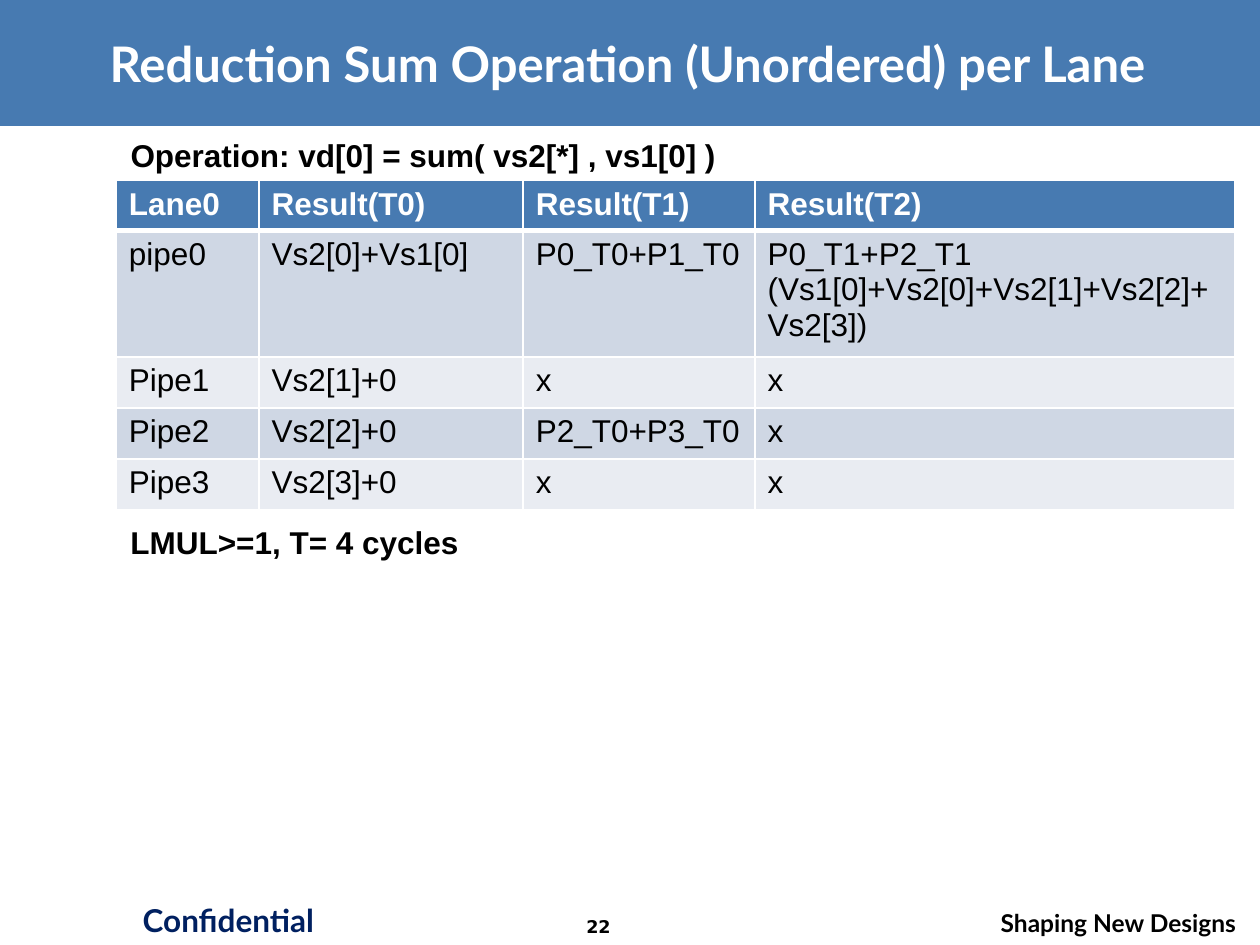
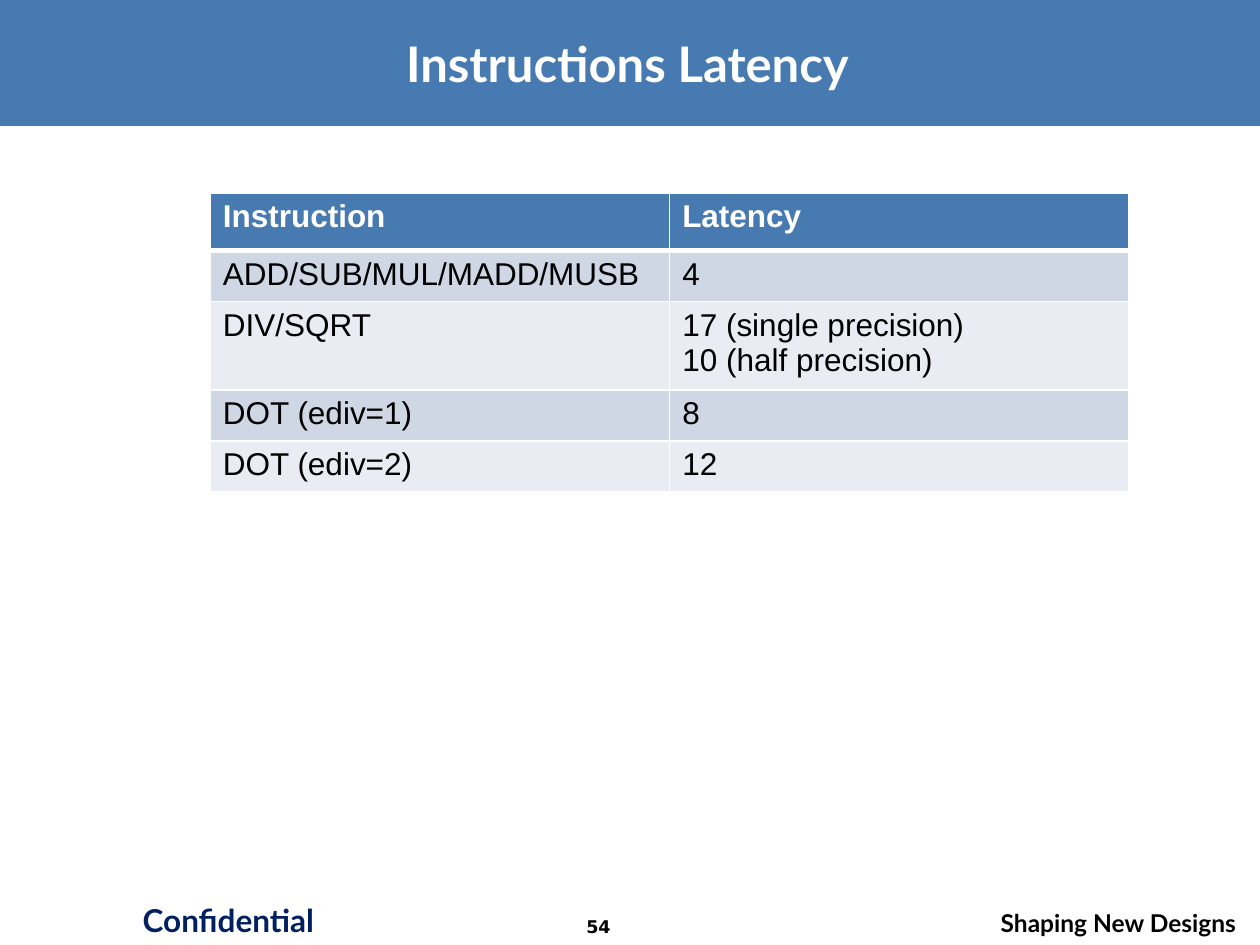
from lxml.etree import SubElement
from pptx import Presentation
from pptx.dml.color import RGBColor
from pptx.enum.shapes import MSO_SHAPE as Shape
from pptx.enum.text import MSO_ANCHOR as Anchor, PP_ALIGN as Align
from pptx.oxml import parse_xml
from pptx.oxml.ns import nsdecls, qn
from pptx.util import Pt

BLUE = RGBColor(0x47, 0x7A, 0xB1)
NAVY = RGBColor(0x00, 0x20, 0x60)
BLACK = RGBColor(0x00, 0x00, 0x00)
WHITE = RGBColor(0xFF, 0xFF, 0xFF)
ROW_FILLS = [RGBColor(0xE9, 0xEC, 0xF2), RGBColor(0xCF, 0xD7, 0xE4)]

TITLE = dict(name="Lato", size=Pt(28), bold=True, color=WHITE)
CONFIDENTIAL = dict(name="Lato", size=Pt(18), bold=True, color=NAVY)
SLOGAN = dict(name="Lato", size=Pt(14), bold=True, color=BLACK)
PAGE_NUMBER = dict(name="DejaVu Sans", size=Pt(10), bold=True, color=BLACK)
NOTE = dict(name="Arial", size=Pt(18), bold=True, color=BLACK)
HEADING = dict(NOTE, color=WHITE)
BODY = dict(NOTE, bold=False)

TITLE_SHADOW = (
    f'<a:effectLst {nsdecls("a")}>'
    '<a:outerShdw dist="38100" dir="2700000" algn="tl">'
    '<a:srgbClr val="000000"/></a:outerShdw></a:effectLst>'
)

SLIDES = [
    dict(
        title="Reduction Sum Operation (Unordered) per Lane",
        number="22",
        notes=[
            ("LMUL>=1, T= 4 cycles", (67.5, 295.2, 260, 29)),
            ("Operation: vd[0] = sum( vs2[*] , vs1[0] )", (67.5, 74.2, 369.5, 29)),
        ],
        corner=(66.5, 103),
        widths=[81.5, 151, 132.5, 274],
        heights=[27.5, 67.5, 29.2, 29.2, 29.2],
        rows=[
            ["Lane0", "Result(T0)", "Result(T1)", "Result(T2)"],
            ["pipe0", "Vs2[0]+Vs1[0]", "P0_T0+P1_T0",
             "P0_T1+P2_T1 (Vs1[0]+Vs2[0]+Vs2[1]+Vs2[2]+Vs2[3])"],
            ["Pipe1", "Vs2[1]+0", "x", "x"],
            ["Pipe2", "Vs2[2]+0", "P2_T0+P3_T0", "x"],
            ["Pipe3", "Vs2[3]+0", "x", "x"],
        ],
    ),
    dict(
        title="Instructions Latency",
        number="54",
        notes=[],
        corner=(120.2, 110.2),
        widths=[262.5, 262.5],
        heights=[33, 29.2, 47.5, 29.2, 29.2],
        rows=[
            ["Instruction", "Latency"],
            ["ADD/SUB/MUL/MADD/MUSB", "4"],
            ["DIV/SQRT", "17 (single precision)\n10 (half precision)"],
            ["DOT (ediv=1)", "8"],
            ["DOT (ediv=2)", "12"],
        ],
    ),
]


def write(frame, text, style, align=Align.LEFT):
    """Fill a text frame, one paragraph per line, in the given font style."""
    frame.text = text
    frame.word_wrap = True
    for paragraph in frame.paragraphs:
        paragraph.alignment = align
        for run in paragraph.runs:
            for key, value in style.items():
                if key == "color":
                    run.font.color.rgb = value
                else:
                    setattr(run.font, key, value)


def add_text(slide, box, text, style, align=Align.LEFT):
    frame = slide.shapes.add_textbox(*map(Pt, box)).text_frame
    write(frame, text, style, align)
    return frame


deck = Presentation()
deck.slide_width, deck.slide_height = Pt(720), Pt(540)

for content in SLIDES:
    slide = deck.slides.add_slide(deck.slide_layouts[6])

    band = slide.shapes.add_shape(Shape.RECTANGLE, 0, 0, Pt(720), Pt(72))
    band.shadow.inherit = False
    band.fill.solid()
    band.fill.fore_color.rgb = BLUE
    band.line.fill.background()

    add_text(slide, (67.5, 511.2, 126, 30), "Confidential", CONFIDENTIAL, Align.CENTER)
    add_text(slide, (543, 515.5, 170.5, 19.5), "Shaping New Designs", SLOGAN, Align.RIGHT)
    add_text(slide, (309, 520, 66, 20), content["number"], PAGE_NUMBER, Align.CENTER)

    title = add_text(slide, (16, 12.2, 685, 47.5), content["title"], TITLE, Align.CENTER)
    title.vertical_anchor = Anchor.MIDDLE
    title_font = title.paragraphs[0].runs[0].font
    title_font.fill.solid()
    title_font.fill.fore_color.rgb = WHITE
    title.paragraphs[0].runs[0]._r.get_or_add_rPr().find(qn("a:solidFill")).addnext(
        parse_xml(TITLE_SHADOW))

    rows, widths, heights = content["rows"], content["widths"], content["heights"]
    area = (*content["corner"], sum(widths), sum(heights))
    table = slide.shapes.add_table(len(rows), len(widths), *map(Pt, area)).table
    for column, width in zip(table.columns, widths):
        column.width = Pt(width)
    for row, height in zip(table.rows, heights):
        row.height = Pt(height)

    for r, texts in enumerate(rows):
        for c, text in enumerate(texts):
            cell = table.cell(r, c)
            write(cell.text_frame, text, BODY if r else HEADING)
            for side in "LRTB":
                under_heading = (r, side) in [(0, "B"), (1, "T")]
                border = SubElement(cell._tc.get_or_add_tcPr(), qn(f"a:ln{side}"),
                                    w=str(Pt(3 if under_heading else 1)))
                SubElement(SubElement(border, qn("a:solidFill")),
                           qn("a:srgbClr"), val=str(WHITE))
            cell.fill.solid()
            cell.fill.fore_color.rgb = ROW_FILLS[r % 2] if r else BLUE

    for text, box in content["notes"]:
        add_text(slide, box, text, NOTE)

deck.save("out.pptx")
